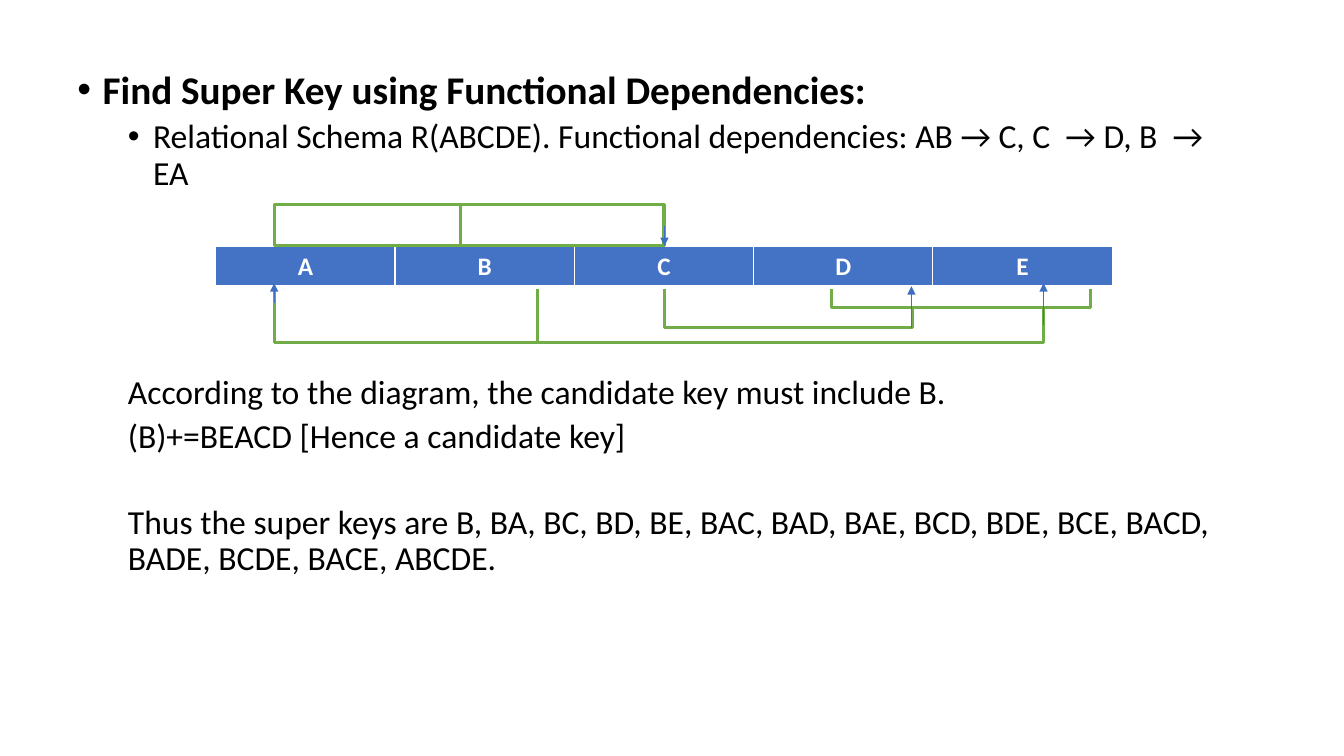
from typing import NamedTuple

from lxml.etree import SubElement
from pptx import Presentation
from pptx.dml.color import RGBColor
from pptx.enum.shapes import MSO_CONNECTOR, MSO_SHAPE
from pptx.enum.text import PP_ALIGN
from pptx.oxml.ns import qn
from pptx.slide import Slide
from pptx.table import _Cell
from pptx.util import Emu, Pt

EMU_PER_PX = 9144
FONT = "Calibri"
BLACK = "000000"
WHITE = "FFFFFF"
BLUE = "4472C4"
ARROW_BLUE = "3F6FC3"
GREEN = "70AD47"


class Bracket(NamedTuple):
    left: int
    top: int
    width: int
    height: int


class Arrow(NamedTuple):
    x: int
    start_y: int
    end_y: int


class Line(NamedTuple):
    text: str
    indent: int
    space_before: int = 5
    size: int = 24
    bold: bool = False
    bullet: bool = False
    level: int = 0


ATTRIBUTES = "ABCDE"
LOWER_BRACKETS = [
    Bracket(532, 276, 503, 64),
    Bracket(782, 259, 122, 66),
    Bracket(659, 264, 246, 61),
    Bracket(272, 276, 261, 64),
    Bracket(825, 264, 257, 41),
]
UPPER_BRACKETS = [Bracket(272, 203, 387, 41), Bracket(457, 203, 201, 41)]
ARROWS = [
    Arrow(659, 224, 244),
    Arrow(272, 301, 281),
    Arrow(904, 325, 284),
    Arrow(1035, 322, 281),
]
LINES = [
    Line("Find Super Key using Functional Dependencies:", 25, 0, 28, bold=True, bullet=True),
    Line(
        "Relational Schema R(ABCDE). Functional dependencies: AB → C, C  → D, B  → EA",
        75, bullet=True, level=1,
    ),
    Line("According to the diagram, the candidate key must include B.", 50, 131),
    Line("(B)+=BEACD [Hence a candidate key]", 50),
    Line(
        "Thus the super keys are B, BA, BC, BD, BE, BAC, BAD, BAE, BCD, BDE, BCE, "
        "BACD, BADE, BCDE, BACE, ABCDE.",
        50, 36,
    ),
]


def px(length: int) -> Emu:
    return Emu(length * EMU_PER_PX)


def color(value: str) -> RGBColor:
    return RGBColor.from_string(value)


def add_bracket(slide: Slide, bracket: Bracket) -> None:
    shape = slide.shapes.add_shape(MSO_SHAPE.RECTANGLE, *map(px, bracket))
    shape.shadow.inherit = False
    shape.fill.solid()
    shape.fill.fore_color.rgb = color(WHITE)
    shape.line.color.rgb = color(GREEN)
    shape.line.width = Pt(2)


def add_arrow(slide: Slide, arrow: Arrow) -> None:
    connector = slide.shapes.add_connector(
        MSO_CONNECTOR.STRAIGHT,
        px(arrow.x), px(arrow.start_y), px(arrow.x), px(arrow.end_y),
    )
    connector.line.color.rgb = color(ARROW_BLUE)
    connector.line.width = Pt(0.75)
    SubElement(connector.line._get_or_add_ln(), qn("a:tailEnd"), type="triangle")
    SubElement(connector._element.spPr, qn("a:effectLst"))


def add_borders(cell: _Cell) -> None:
    properties = cell._tc.get_or_add_tcPr()
    for side, width in (("lnL", 0.96), ("lnR", 0.96), ("lnT", 0.96), ("lnB", 3)):
        border = SubElement(properties, qn(f"a:{side}"), w=str(int(Pt(width))))
        fill = SubElement(border, qn("a:solidFill"))
        SubElement(fill, qn("a:srgbClr"), val=WHITE)


def add_schema(slide: Slide) -> None:
    table = slide.shapes.add_table(
        1, len(ATTRIBUTES), px(214), px(244), px(889), px(41)
    ).table
    table.horz_banding = False
    for cell, attribute in zip(table.iter_cells(), ATTRIBUTES):
        add_borders(cell)
        cell.fill.solid()
        cell.fill.fore_color.rgb = color(BLUE)
        cell.text_frame.text = attribute
        paragraph = cell.text_frame.paragraphs[0]
        paragraph.alignment = PP_ALIGN.CENTER
        font = paragraph.runs[0].font
        font.name, font.size, font.bold = FONT, Pt(18), True
        font.color.rgb = color(WHITE)


def add_explanation(slide: Slide) -> None:
    text_frame = slide.shapes.add_textbox(px(67), px(65), px(1175), px(610)).text_frame
    text_frame.word_wrap = True
    text_frame.text = "\n".join(line.text for line in LINES)
    for paragraph, line in zip(text_frame.paragraphs, LINES):
        paragraph.level = line.level
        paragraph.line_spacing = 0.9
        paragraph.space_before = Pt(line.space_before)
        properties = paragraph._p.get_or_add_pPr()
        properties.set("marL", str(px(line.indent)))
        properties.set("indent", str(px(-25 if line.bullet else 0)))
        if line.bullet:
            SubElement(properties, qn("a:buFont"), typeface="Arial")
            SubElement(properties, qn("a:buChar"), char="•")
        font = paragraph.runs[0].font
        font.name, font.size, font.bold = FONT, Pt(line.size), line.bold
        font.color.rgb = color(BLACK)


def main() -> None:
    presentation = Presentation()
    presentation.slide_width = px(1333)
    presentation.slide_height = px(750)
    slide = presentation.slides.add_slide(presentation.slide_layouts[6])
    for bracket in LOWER_BRACKETS:
        add_bracket(slide, bracket)
    add_schema(slide)
    add_explanation(slide)
    for bracket in UPPER_BRACKETS:
        add_bracket(slide, bracket)
    for arrow in ARROWS:
        add_arrow(slide, arrow)
    presentation.save("out.pptx")


if __name__ == "__main__":
    main()
